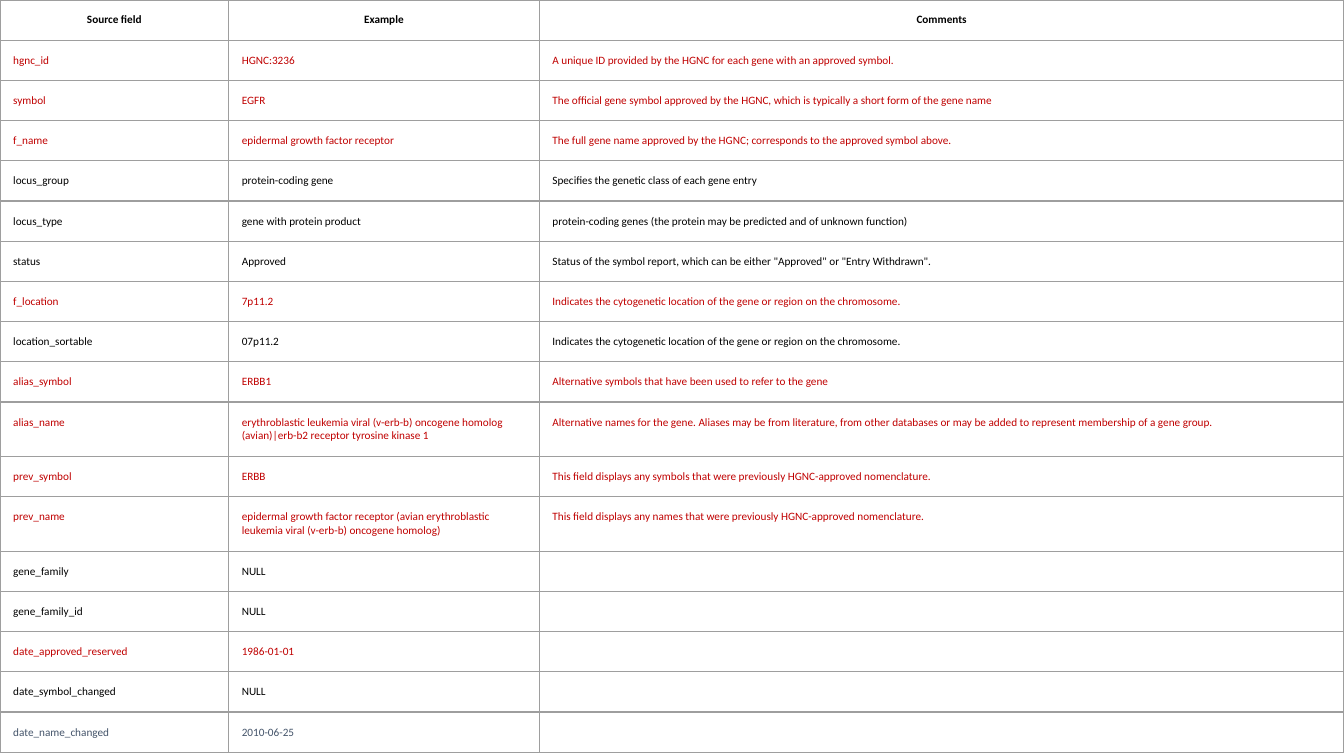
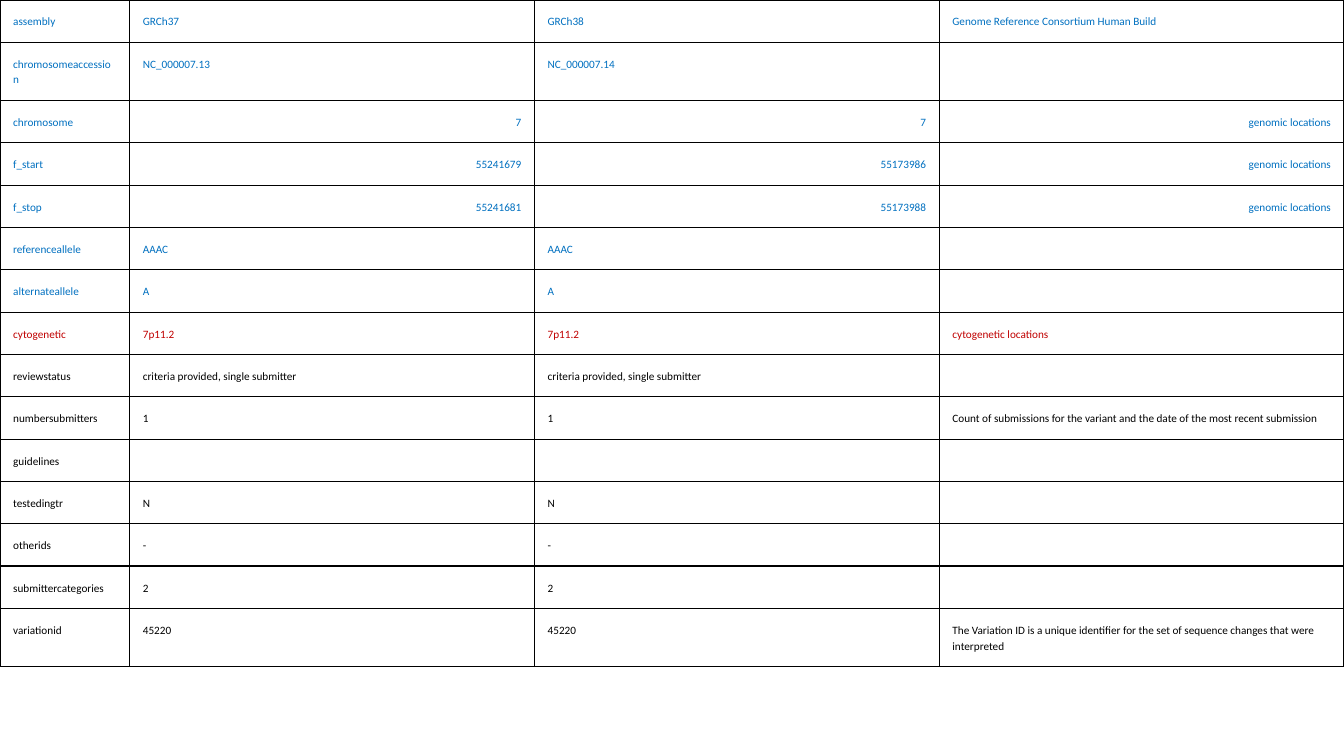
from lxml import etree
from pptx import Presentation
from pptx.dml.color import RGBColor
from pptx.enum.text import PP_ALIGN
from pptx.oxml.ns import qn
from pptx.util import Cm, Pt

LEFT, CENTER, RIGHT = PP_ALIGN.LEFT, PP_ALIGN.CENTER, PP_ALIGN.RIGHT

FONT = "Calibri"
FONT_SIZE = 6
CELL_MARGIN = 0.25
BORDER_WIDTH = 0.75
BLACK, RED, BLUE, SLATE, GREY = "000000", "C00000", "0070C0", "44546A", "9E9E9E"

GENE_HEADER = ["Source field", "Example", "Comments"]
GENE_FIELDS = [
    (RED, "hgnc_id", "HGNC:3236",
     "A unique ID provided by the HGNC for each gene with an approved symbol."),
    (RED, "symbol", "EGFR",
     "The official gene symbol approved by the HGNC, which is typically a short form of the gene name"),
    (RED, "f_name", "epidermal growth factor receptor",
     "The full gene name approved by the HGNC; corresponds to the approved symbol above."),
    (BLACK, "locus_group", "protein-coding gene",
     "Specifies the genetic class of each gene entry"),
    (BLACK, "locus_type", "gene with protein product",
     "protein-coding genes (the protein may be predicted and of unknown function)"),
    (BLACK, "status", "Approved",
     'Status of the symbol report, which can be either "Approved" or "Entry Withdrawn".'),
    (RED, "f_location", "7p11.2",
     "Indicates the cytogenetic location of the gene or region on the chromosome."),
    (BLACK, "location_sortable", "07p11.2",
     "Indicates the cytogenetic location of the gene or region on the chromosome."),
    (RED, "alias_symbol", "ERBB1",
     "Alternative symbols that have been used to refer to the gene"),
    (RED, "alias_name",
     "erythroblastic leukemia viral (v-erb-b) oncogene homolog (avian)|erb-b2 receptor tyrosine kinase 1",
     "Alternative names for the gene. Aliases may be from literature, from other databases "
     "or may be added to represent membership of a gene group."),
    (RED, "prev_symbol", "ERBB",
     "This field displays any symbols that were previously HGNC-approved nomenclature."),
    (RED, "prev_name",
     "epidermal growth factor receptor (avian erythroblastic leukemia viral (v-erb-b) oncogene homolog)",
     "This field displays any names that were previously HGNC-approved nomenclature."),
    (BLACK, "gene_family", "NULL", ""),
    (BLACK, "gene_family_id", "NULL", ""),
    (RED, "date_approved_reserved", "1986-01-01", ""),
    (BLACK, "date_symbol_changed", "NULL", ""),
    (SLATE, "date_name_changed", "2010-06-25", ""),
]
GENE_COLUMNS = [4.32, 5.87, 15.21]
GENE_TALL_ROWS = {"alias_name", "prev_name"}

VARIANT_FIELDS = [
    (BLUE, "assembly", "GRCh37", "GRCh38", "Genome Reference Consortium Human Build"),
    (BLUE, "chromosomeaccession", "NC_000007.13", "NC_000007.14", ""),
    (BLUE, "chromosome", "7", "7", "genomic locations"),
    (BLUE, "f_start", "55241679", "55173986", "genomic locations"),
    (BLUE, "f_stop", "55241681", "55173988", "genomic locations"),
    (BLUE, "referenceallele", "AAAC", "AAAC", ""),
    (BLUE, "alternateallele", "A", "A", ""),
    (RED, "cytogenetic", "7p11.2", "7p11.2", "cytogenetic locations"),
    (BLACK, "reviewstatus", "criteria provided, single submitter",
     "criteria provided, single submitter", ""),
    (BLACK, "numbersubmitters", "1", "1",
     "Count of submissions for the variant and the date of the most recent submission"),
    (BLACK, "guidelines", "", "", ""),
    (BLACK, "testedingtr", "N", "N", ""),
    (BLACK, "otherids", "-", "-", ""),
    (BLACK, "submittercategories", "2", "2", ""),
    (BLACK, "variationid", "45220", "45220",
     "The Variation ID is a unique identifier for the set of sequence changes that were interpreted"),
]
VARIANT_COLUMNS = [2.45, 7.65, 7.65, 7.65]
VARIANT_TALL_ROWS = {"chromosomeaccession", "variationid"}
GENOMIC_POSITION_ROWS = {"chromosome", "f_start", "f_stop"}


def rgb(hex_code):
    return RGBColor.from_string(hex_code)


def write_text(frame, text, color=BLACK, bold=False, align=LEFT, line_spacing=None):
    paragraph = frame.paragraphs[0]
    paragraph.alignment = align
    if line_spacing:
        paragraph.line_spacing = line_spacing
    if not text:
        # An empty cell keeps the small size, so that its row stays low.
        etree.SubElement(paragraph._p, qn("a:endParaRPr"), sz=str(FONT_SIZE * 100))
        return
    run = paragraph.add_run()
    run.text = text
    run.font.name = FONT
    run.font.size = Pt(FONT_SIZE)
    run.font.bold = bold
    run.font.color.rgb = rgb(color)


def style_cell(cell, border):
    """Give the cell its margins, four borders and no fill."""
    cell.margin_left = cell.margin_right = Cm(CELL_MARGIN)
    cell.margin_top = cell.margin_bottom = Cm(CELL_MARGIN)
    properties = cell._tc.get_or_add_tcPr()
    for side in ("a:lnL", "a:lnR", "a:lnT", "a:lnB"):
        line = etree.SubElement(properties, qn(side), w=str(Pt(BORDER_WIDTH)))
        fill = etree.SubElement(line, qn("a:solidFill"))
        etree.SubElement(fill, qn("a:srgbClr"), val=border)
    cell.fill.background()


def add_field_table(slide, column_widths, row_heights, border):
    """Add an unfilled ruled table at the top left corner of the slide."""
    table = slide.shapes.add_table(
        len(row_heights), len(column_widths), Cm(0), Cm(0),
        Cm(sum(column_widths)), Cm(sum(row_heights))).table
    table.first_row = table.horz_banding = False
    for column, width in zip(table.columns, column_widths):
        column.width = Cm(width)
    for row, height in zip(table.rows, row_heights):
        row.height = Cm(height)
    for cell in table.iter_cells():
        style_cell(cell, border)
    return table


def fill_row(row, texts, first_align=LEFT, other_align=LEFT, **text_format):
    for index, (cell, text) in enumerate(zip(row.cells, texts)):
        write_text(cell.text_frame, text,
                   align=other_align if index else first_align, **text_format)


def add_gene_slide(slide):
    heights = [0.76] + [1.03 if name in GENE_TALL_ROWS else 0.76
                        for _, name, *_ in GENE_FIELDS]
    table = add_field_table(slide, GENE_COLUMNS, heights, GREY)
    header, *rows = table.rows
    fill_row(header, GENE_HEADER, CENTER, CENTER, bold=True)
    for row, (color, *texts) in zip(rows, GENE_FIELDS):
        fill_row(row, texts, color=color)


def add_variant_slide(slide):
    heights = [1.1 if name in VARIANT_TALL_ROWS else 0.8
               for _, name, *_ in VARIANT_FIELDS]
    table = add_field_table(slide, VARIANT_COLUMNS, heights, BLACK)
    for row, (color, *texts) in zip(table.rows, VARIANT_FIELDS):
        value_align = RIGHT if texts[0] in GENOMIC_POSITION_ROWS else LEFT
        fill_row(row, texts, other_align=value_align, color=color, line_spacing=1.15)


def main():
    deck = Presentation()
    deck.slide_width, deck.slide_height = Cm(25.4), Cm(14.29)
    blank = deck.slide_layouts[6]
    add_gene_slide(deck.slides.add_slide(blank))
    add_variant_slide(deck.slides.add_slide(blank))
    deck.save("out.pptx")


if __name__ == "__main__":
    main()
